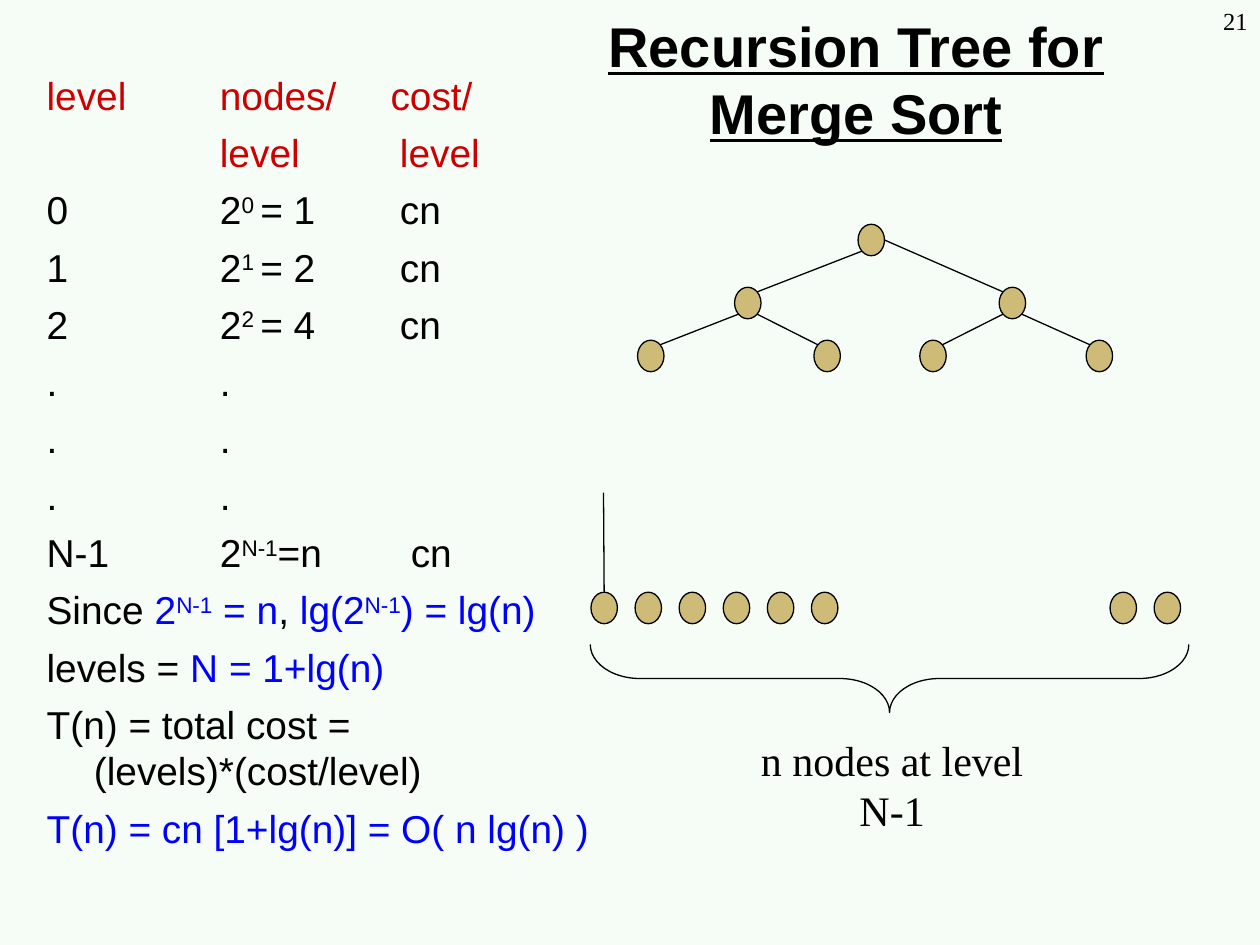
from dataclasses import dataclass
from math import cos, radians, sin
from typing import Optional

from lxml.etree import SubElement
from pptx import Presentation
from pptx.dml.color import RGBColor
from pptx.enum.shapes import MSO_CONNECTOR, MSO_SHAPE
from pptx.enum.text import MSO_ANCHOR, MSO_AUTO_SIZE, PP_ALIGN
from pptx.oxml.ns import qn
from pptx.util import Inches, Pt


@dataclass(frozen=True)
class Theme:
    background: str = "F6FCF6"
    ink: str = "000000"
    heading: str = "CC0000"
    formula: str = "0000FF"
    node: str = "CDBB77"
    sans: str = "Arial"
    serif: str = "Times New Roman"
    title_size: float = 32
    body_size: float = 22.2
    label_size: float = 24
    number_size: float = 14
    line_width: float = 0.75


THEME = Theme()


@dataclass(frozen=True)
class Span:
    text: str
    color: str = THEME.ink
    raised: bool = False
    spread: float = 0  # extra character spacing in points


@dataclass(frozen=True)
class Node:
    left: float
    top: float
    width: float = 0.21
    height: float = 0.25

    def edge_point(self, degrees: float) -> tuple[float, float]:
        """Point on the outline, measured clockwise from the right."""
        angle = radians(degrees)
        return (self.left + self.width / 2 * (1 + cos(angle)),
                self.top + self.height / 2 * (1 + sin(angle)))


def red(text: str) -> Span:
    return Span(text, THEME.heading)


def blue(text: str, raised: bool = False) -> Span:
    return Span(text, THEME.formula, raised)


def level_row(level: int) -> tuple[Span, ...]:
    return (Span(f"{level}\t\t2"), Span(f"{level} ", raised=True),
            Span(f"= {2 ** level}\t"), COLUMN_GAP, Span("cn"))


COLUMN_GAP = Span(" ", spread=24.7)
LAST_GAP = Span(" ", spread=30.9)
DOTS = (Span(".\t\t."),)
BODY = [
    (red("level\tnodes/"), COLUMN_GAP, red("cost/")),
    (red("\t\tlevel\t"), COLUMN_GAP, red("level")),
    *(level_row(level) for level in range(3)),
    DOTS, DOTS, DOTS,
    (Span("N-1\t2"), Span("N-1", raised=True), Span("=n\t"), LAST_GAP, Span("cn")),
    (Span("Since "), blue("2"), blue("N-1", True), blue(" = n"), Span(", "),
     blue("lg(2"), blue("N-1", True), blue(") = lg(n)")),
    (Span("levels = "), blue("N = 1+lg(n)")),
    (Span("T(n) = total cost = (levels)*(cost/level)"),),
    (blue("T(n) = cn [1+lg(n)] = O( n lg(n) )"),),
]


def place(box, left: float, top: float, width: float, height: float) -> None:
    box.left, box.top = Inches(left), Inches(top)
    box.width, box.height = Inches(width), Inches(height)


def add_span(para, text: str, *, size: float, font: str, color: str = THEME.ink,
             bold: bool = False, underline: bool = False, raised: bool = False,
             spread: float = 0) -> None:
    span = para.add_run()
    span.text = text
    style = span.font
    style.size, style.name = Pt(size), font
    style.bold, style.underline = bold, underline
    style.color.rgb = RGBColor.from_string(color)
    if raised:
        style._element.set("baseline", "30000")
    if spread:
        style._element.set("spc", str(round(spread * 100)))


def set_columns(para) -> None:
    """Hanging indent, no bullet, and a tab stop every inch."""
    properties = para._p.get_or_add_pPr()
    properties.set("marL", str(Inches(0.375)))
    properties.set("indent", str(-Inches(0.375)))
    properties.set("defTabSz", str(Inches(1)))
    SubElement(properties, qn("a:buNone"))


def fill_body(body) -> None:
    place(body, 0.27, 0.52, 5.28, 6.42)
    frame = body.text_frame
    frame.auto_size = MSO_AUTO_SIZE.NONE
    for index, line in enumerate(BODY):
        para = frame.add_paragraph() if index else frame.paragraphs[0]
        set_columns(para)
        para.space_before = Pt(6 if index else 0)
        for span in line:
            add_span(para, span.text, size=THEME.body_size, font=THEME.sans,
                     color=span.color, raised=span.raised, spread=span.spread)


def add_label(page, text: str, left: float, top: float, width: float, *,
              size: float, align: PP_ALIGN, wrap: bool) -> None:
    box = page.shapes.add_textbox(Inches(left), Inches(top), Inches(width), Inches(0.5))
    box.text_frame.word_wrap = wrap
    para = box.text_frame.paragraphs[0]
    para.alignment = align
    add_span(para, text, size=size, font=THEME.serif)


def outline(shape, fill: Optional[str] = None) -> None:
    shape.shadow.inherit = False
    shape.line.color.rgb = RGBColor.from_string(THEME.ink)
    shape.line.width = Pt(THEME.line_width)
    if fill:
        shape.fill.solid()
        shape.fill.fore_color.rgb = RGBColor.from_string(fill)
    else:
        shape.fill.background()


def draw_node(page, node: Node) -> None:
    shape = page.shapes.add_shape(MSO_SHAPE.OVAL, Inches(node.left), Inches(node.top),
                                  Inches(node.width), Inches(node.height))
    outline(shape, THEME.node)


def draw_line(page, start: tuple[float, float], end: tuple[float, float]) -> None:
    line = page.shapes.add_connector(MSO_CONNECTOR.STRAIGHT,
                                     *(Inches(value) for value in (*start, *end)))
    line.line.color.rgb = RGBColor.from_string(THEME.ink)
    line.line.width = Pt(THEME.line_width)
    SubElement(line._element.spPr, qn("a:effectLst"))


def draw_tree(page) -> None:
    # Top three levels, numbered so that node i has children 2i+1 and 2i+2
    tree = [Node(6.81, 1.78), Node(5.83, 2.28), Node(7.93, 2.28),
            *(Node(left, 2.7) for left in (5.06, 6.46, 7.3, 8.62))]
    # Bottom level, with a gap before the last two nodes
    leaves = [*(Node(4.69 + 0.35 * step, 4.7) for step in range(6)),
              Node(8.81, 4.7), Node(9.16, 4.7)]
    for node in tree + leaves:
        draw_node(page, node)
    for index, parent in enumerate(tree[:3]):
        left_child, right_child = tree[2 * index + 1:2 * index + 3]
        draw_line(page, parent.edge_point(135), left_child.edge_point(-45))
        draw_line(page, parent.edge_point(45 if index else 0), right_child.edge_point(225))
    draw_line(page, leaves[0].edge_point(270), (4.79, 3.91))

    # Brace under the bottom level
    brace = page.shapes.add_shape(MSO_SHAPE.LEFT_BRACE, Inches(6.79), Inches(3.01),
                                  Inches(0.54), Inches(4.75))
    brace.rotation = 270
    brace.adjustments[0] = 0.73
    outline(brace)
    add_label(page, "n nodes at level N-1", 5.64, 5.78, 2.88,
              size=THEME.label_size, align=PP_ALIGN.CENTER, wrap=False)


def main() -> None:
    deck = Presentation()
    deck.slide_width, deck.slide_height = Inches(10), Inches(7.5)
    page = deck.slides.add_slide(deck.slide_layouts[1])
    page.background.fill.solid()
    page.background.fill.fore_color.rgb = RGBColor.from_string(THEME.background)

    # Title
    title = page.shapes.title
    place(title, 4.13, 0.21, 5.33, 0.83)
    title.text_frame.auto_size = MSO_AUTO_SIZE.NONE
    title.text_frame.vertical_anchor = MSO_ANCHOR.MIDDLE
    heading = title.text_frame.paragraphs[0]
    heading.alignment = PP_ALIGN.CENTER
    add_span(heading, "Recursion Tree for Merge Sort", size=THEME.title_size,
             font=THEME.sans, bold=True, underline=True)

    # Cost table and derivation, tree, page number
    fill_body(page.placeholders[1])
    draw_tree(page)
    add_label(page, "21", 9.17, 0, 0.83, size=THEME.number_size,
              align=PP_ALIGN.RIGHT, wrap=True)
    deck.save("out.pptx")


if __name__ == "__main__":
    main()
